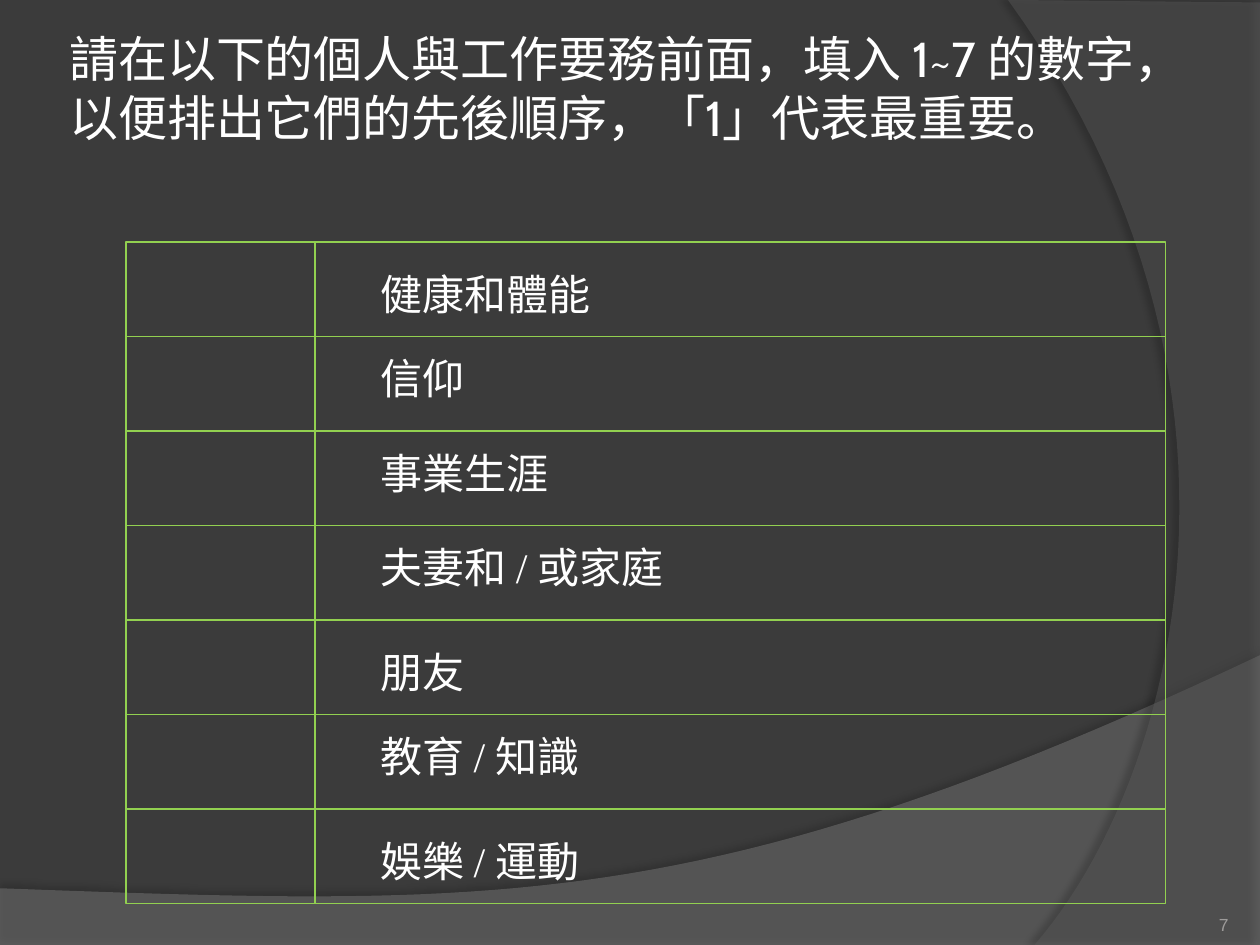
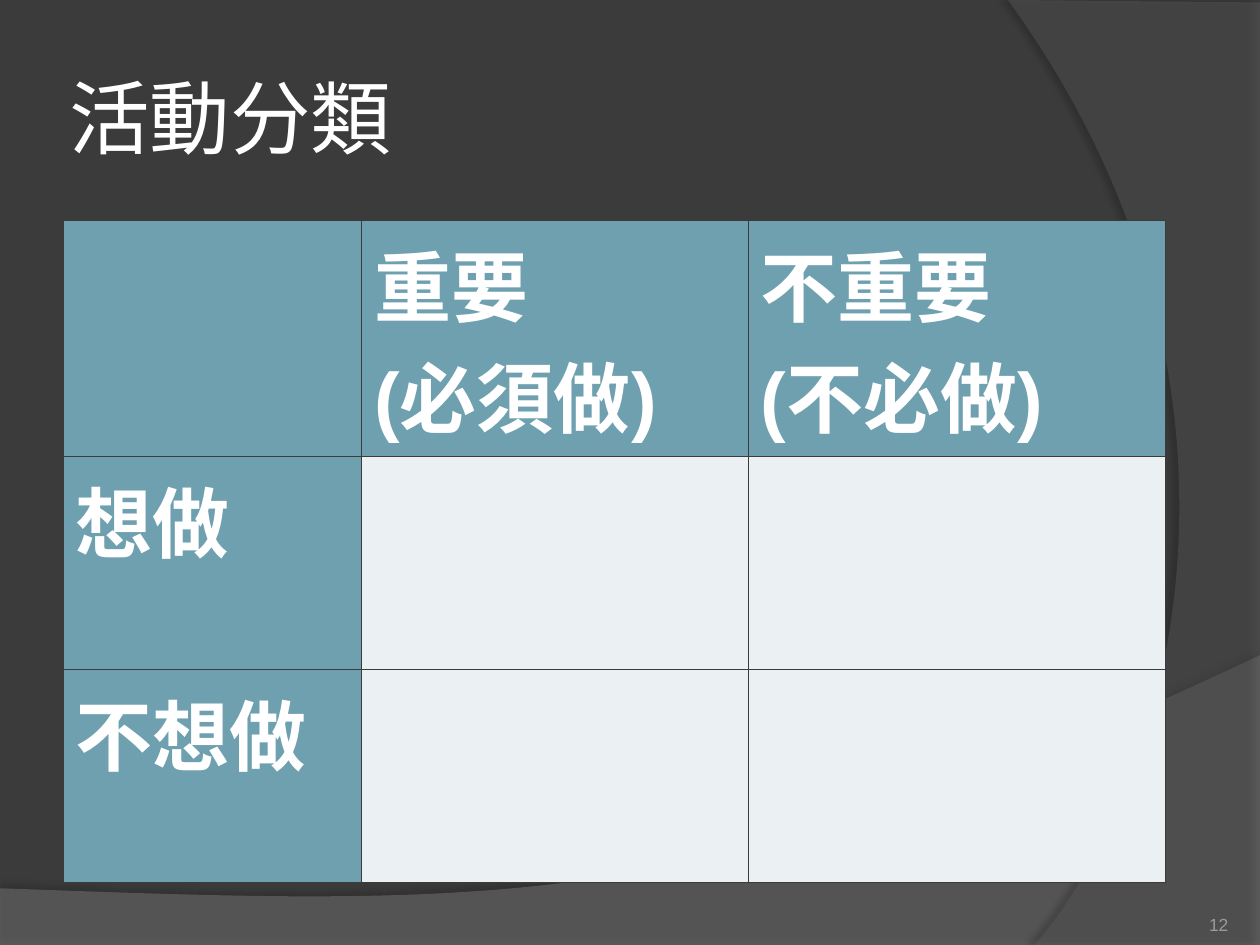
from lxml import etree
from pptx import Presentation
from pptx.dml.color import RGBColor
from pptx.enum.shapes import MSO_CONNECTOR, MSO_SHAPE
from pptx.enum.text import MSO_ANCHOR, MSO_AUTO_SIZE, PP_ALIGN
from pptx.oxml.ns import qn
from pptx.util import Inches, Pt

BACKGROUND = RGBColor(0x3B, 0x3B, 0x3B)
WAVE = RGBColor(0x7F, 0x7F, 0x7F)
ARC = RGBColor(0x5E, 0x5E, 0x5E)
WHITE = RGBColor(0xFF, 0xFF, 0xFF)
NUMBER_GREY = RGBColor(0x9D, 0x9B, 0x9A)
GREEN = RGBColor(0x92, 0xD0, 0x50)
TEAL = RGBColor(0x6E, 0xA0, 0xB0)
PALE = RGBColor(0xEB, 0xF0, 0xF2)

TITLE_FONT = "Cabin"
BODY_FONT = "Arial"
LIST_FONT = "Times New Roman"

# Each label with its drop below the top of its row
PRIORITIES = [
    ("健康和體能", 0.16), ("信仰", 0.08), ("事業生涯", 0.08),
    ("夫妻和 / 或家庭", 0.08), ("朋友", 0.16), ("教育 / 知識", 0.08),
    ("娛樂 / 運動", 0.16),
]
ACTIVITIES = [
    ["", "重要\v(必須做)", "不重要\v(不必做)"],
    ["想做", "", ""],
    ["不想做", "", ""],
]


def add_span(para, text, font, size, color, bold=False):
    span = para.add_run()
    span.text = text
    span.font.name = font
    span.font.size = Pt(size)
    span.font.color.rgb = color
    span.font.bold = bold


def add_text(page, box, text, font, size, color, inset=None,
             anchor=MSO_ANCHOR.TOP, align=PP_ALIGN.LEFT, grow=False):
    frame = page.shapes.add_textbox(*map(Inches, box)).text_frame
    frame.word_wrap = True
    frame.auto_size = MSO_AUTO_SIZE.SHAPE_TO_FIT_TEXT if grow else MSO_AUTO_SIZE.NONE
    frame.vertical_anchor = anchor
    if inset is not None:
        frame.margin_left = frame.margin_right = Inches(inset)
        frame.margin_top = frame.margin_bottom = Inches(inset)
    para = frame.paragraphs[0]
    para.alignment = align
    add_span(para, text, font, size, color)


def curve(start, first, second, end, steps=48):
    """Points along a cubic curve, without its start."""
    points = []
    for step in range(1, steps + 1):
        t = step / steps
        weights = ((1 - t) ** 3, 3 * t * (1 - t) ** 2, 3 * t * t * (1 - t), t ** 3)
        corners = (start, first, second, end)
        points.append(tuple(sum(w * c[axis] for w, c in zip(weights, corners))
                            for axis in (0, 1)))
    return points


def add_swoosh(page, points, color, opacity, shadow_opacity, distance, direction):
    vertices = [(Inches(x), Inches(y)) for x, y in points]
    builder = page.shapes.build_freeform(*vertices[0])
    builder.add_line_segments(vertices[1:], close=True)
    swoosh = builder.convert_to_shape()
    swoosh.line.fill.background()
    swoosh.fill.solid()
    swoosh.fill.fore_color.rgb = color
    properties = swoosh._element.spPr
    tint = properties.find(qn("a:solidFill"))[0]
    etree.SubElement(tint, qn("a:alpha"), val=str(opacity * 1000))
    # Soft shadow along the curved edge
    effects = etree.SubElement(properties, qn("a:effectLst"))
    shadow = etree.SubElement(
        effects, qn("a:outerShdw"), blurRad=str(Pt(4)), dist=str(Pt(distance)),
        dir=str(direction * 60000), algn="ctr", rotWithShape="0")
    shade = etree.SubElement(shadow, qn("a:srgbClr"), val="000000")
    etree.SubElement(shade, qn("a:alpha"), val=str(shadow_opacity * 1000))


def add_page(deck, number_text):
    """Page with the background and number that all slides share."""
    page = deck.slides.add_slide(deck.slide_layouts[6])
    page.background.fill.solid()
    page.background.fill.fore_color.rgb = BACKGROUND
    wave = [(0, 7.05), (0, 7.51), (10, 7.51), (10, 5.2)]
    wave += curve((10, 5.2), (5.59, 7.29), (3.91, 7.19), (0, 7.05))
    add_swoosh(page, wave, WAVE, 45, 35, 3.5, 270)
    arc = [(10, 0.02), (10, 7.5), (8.21, 7.5)]
    arc += curve((8.21, 7.5), (9.35, 6.19), (10.18, 3), (8, 0))
    add_swoosh(page, arc, ARC, 40, 45, 4, 180)
    add_text(page, (8.92, 7.02, 0.83, 0.4), number_text, BODY_FONT, 10,
             NUMBER_GREY, 0, MSO_ANCHOR.BOTTOM, PP_ALIGN.RIGHT)
    return page


def add_title(page, box, text, size, anchor=MSO_ANCHOR.MIDDLE):
    add_text(page, box, text, TITLE_FONT, size, WHITE, 0.05, anchor)


def add_rule(page, x1, y1, x2, y2):
    rule = page.shapes.add_connector(MSO_CONNECTOR.STRAIGHT,
                                     *map(Inches, (x1, y1, x2, y2)))
    rule.line.color.rgb = GREEN
    rule.line.width = Pt(0.75)
    etree.SubElement(rule._element.spPr, qn("a:effectLst"))


def add_priority_form(page, box):
    left, top, width, height = box
    row_height = height / len(PRIORITIES)
    # Frame and rules
    frame = page.shapes.add_shape(MSO_SHAPE.RECTANGLE, *map(Inches, box))
    frame.shadow.inherit = False
    frame.fill.background()
    frame.line.color.rgb = GREEN
    frame.line.width = Pt(0.75)
    for row in range(1, len(PRIORITIES)):
        y = top + row * row_height
        add_rule(page, left, y, left + width, y)
    add_rule(page, left + 1.5, top, left + 1.5, top + height)
    # Labels
    for row, (label, drop) in enumerate(PRIORITIES):
        add_text(page, (left + 1.92, top + row * row_height + drop, 4.08, 0.5),
                 label, LIST_FONT, 24, WHITE, grow=True)


def add_cell_borders(cell):
    properties = cell._tc.get_or_add_tcPr()
    for place, side in enumerate(("a:lnL", "a:lnR", "a:lnT", "a:lnB")):
        line = etree.Element(qn(side), w=str(Pt(1)))
        fill = etree.SubElement(line, qn("a:solidFill"))
        etree.SubElement(fill, qn("a:srgbClr"), val=str(BACKGROUND))
        properties.insert(place, line)


def add_activity_table(page, box):
    table = page.shapes.add_table(3, 3, *map(Inches, box)).table
    for column, width in zip(table.columns, (2.37, 3.07, 3.31)):
        column.width = Inches(width)
    for row, height in zip(table.rows, (1.87, 1.69, 1.69)):
        row.height = Inches(height)
    for r, labels in enumerate(ACTIVITIES):
        for c, label in enumerate(labels):
            cell = table.cell(r, c)
            cell.fill.solid()
            cell.fill.fore_color.rgb = TEAL if r == 0 or c == 0 else PALE
            add_cell_borders(cell)
            para = cell.text_frame.paragraphs[0]
            for index, line in enumerate(label.split("\v") if label else []):
                if index:
                    para.add_line_break()
                add_span(para, line, BODY_FONT, 44, WHITE, bold=True)


def build_priority_page(deck):
    page = add_page(deck, "7")
    add_title(page, (0.5, 0.18, 8.99, 1.25),
              "請在以下的個人與工作要務前面，填入 1~7 的數字，"
              "以便排出它們的先後順序，「1」代表最重要。", 28, MSO_ANCHOR.TOP)
    add_priority_form(page, (1, 1.92, 8.25, 5.25))


def build_activity_page(deck):
    page = add_page(deck, "12")
    add_title(page, (0.5, 0.3, 8.17, 1.25), "活動分類", 46)
    add_activity_table(page, (0.5, 1.75, 8.75, 5.25))


def main():
    deck = Presentation()
    deck.slide_width = Inches(10)
    deck.slide_height = Inches(7.5)
    build_priority_page(deck)
    build_activity_page(deck)
    deck.save("out.pptx")


if __name__ == "__main__":
    main()
